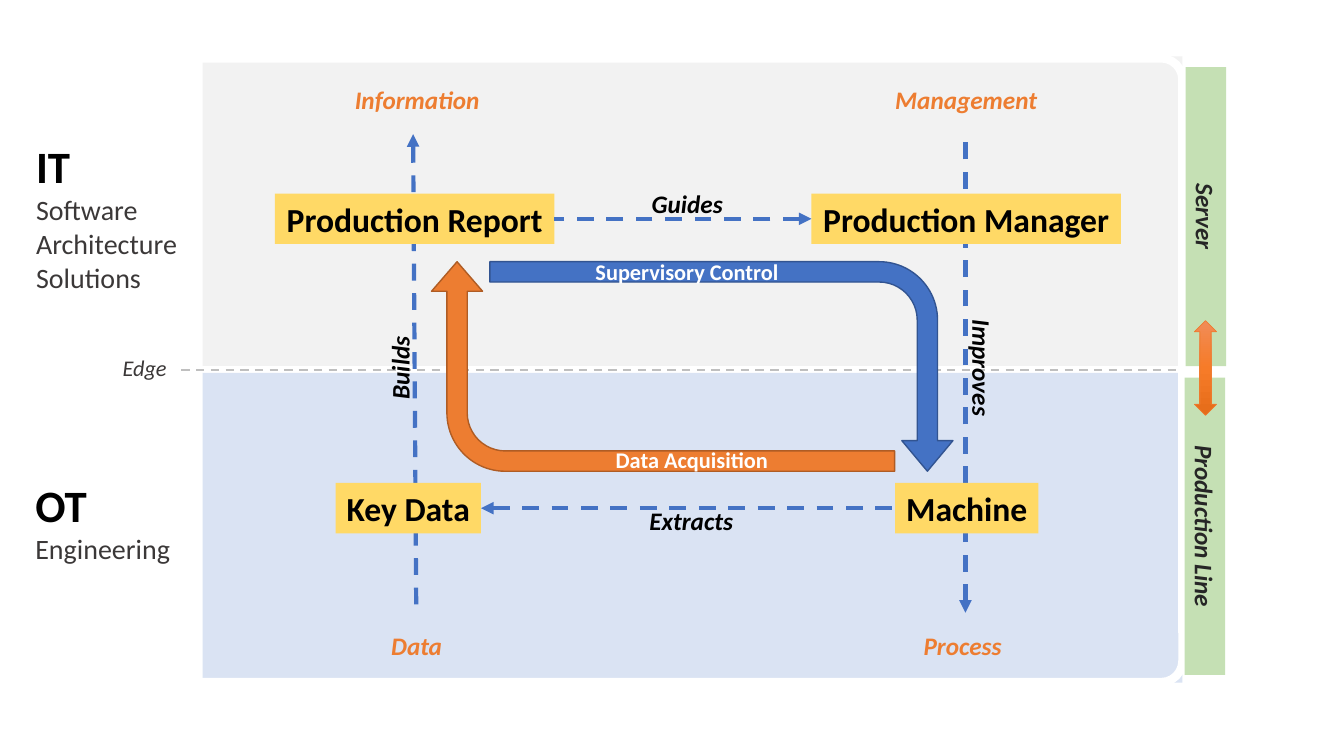
from copy import deepcopy
from dataclasses import dataclass

from lxml import etree
from pptx import Presentation
from pptx.dml.color import RGBColor
from pptx.enum.dml import MSO_LINE
from pptx.enum.shapes import MSO_CONNECTOR, MSO_SHAPE
from pptx.enum.text import MSO_ANCHOR, PP_ALIGN
from pptx.oxml.ns import qn
from pptx.util import Cm, Pt

RECT = MSO_SHAPE.RECTANGLE
ROUNDED = MSO_SHAPE.ROUNDED_RECTANGLE
BENT_ARROW = MSO_SHAPE.BENT_ARROW
UP_DOWN_ARROW = MSO_SHAPE.UP_DOWN_ARROW
STRAIGHT = MSO_CONNECTOR.STRAIGHT
DASH = MSO_LINE.DASH
LEFT, CENTER = PP_ALIGN.LEFT, PP_ALIGN.CENTER
TOP, MIDDLE = MSO_ANCHOR.TOP, MSO_ANCHOR.MIDDLE
LEFT_SIDE, RIGHT_SIDE = 1, 3


@dataclass(frozen=True)
class Theme:
    font: str = "Calibri"
    title: int = 32
    box: int = 24
    body: int = 20
    label: int = 18
    small: int = 16
    black: str = "000000"
    white: str = "FFFFFF"
    body_text: str = "3B3838"
    bar_text: str = "262626"
    it_zone: str = "F2F2F2"
    ot_zone: str = "DAE3F3"
    edge: str = "BFBFBF"
    blue: str = "4472C4"
    blue_line: str = "325491"
    orange: str = "ED7D31"
    orange_line: str = "AF5C24"
    yellow: str = "FFD966"
    green: str = "C5E0B4"
    link_gradient: tuple = ("F18C57", "F67B28", "E56C19")


class Diagram:
    """Draws elements on one slide; every length is in centimetres."""

    def __init__(self, slide, theme):
        self.shapes = slide.shapes
        self.theme = theme

    def add_runs(self, shape, runs, align=CENTER, wrap=False, anchor=TOP):
        """Each run is (text, size, colour, bold, italic); runs go on separate lines."""
        frame = shape.text_frame
        frame.word_wrap = wrap
        frame.vertical_anchor = anchor
        paragraph = frame.paragraphs[0]
        paragraph.alignment = align
        for index, (text, size, color, bold, italic) in enumerate(runs):
            if index:
                paragraph.add_line_break()
            run = paragraph.add_run()
            run.text = text
            font = run.font
            font.name, font.size = self.theme.font, Pt(size)
            font.bold, font.italic = bold, italic
            font.color.rgb = RGBColor.from_string(color)

    def shape(self, kind, bounds, fill=None, line=None, width=1, rotation=0, adjust=()):
        shape = self.shapes.add_shape(kind, *map(Cm, bounds))
        shape.shadow.inherit = False
        shape.rotation = rotation
        for index, value in enumerate(adjust):
            shape.adjustments[index] = value
        if fill:
            shape.fill.solid()
            shape.fill.fore_color.rgb = RGBColor.from_string(fill)
        else:
            shape.fill.background()
        if line:
            shape.line.color.rgb = RGBColor.from_string(line)
            shape.line.width = Pt(width)
        else:
            shape.line.fill.background()
        return shape

    def gradient(self, shape, colors):
        """Fill from top to bottom through evenly spaced colours."""
        shape.fill.gradient()
        shape.fill.gradient_angle = 270
        stop_list = shape._element.spPr.find(qn("a:gradFill")).find(qn("a:gsLst"))
        for _ in colors[2:]:
            stop_list.append(deepcopy(stop_list[0]))
        for index, (stop, color) in enumerate(zip(shape.fill.gradient_stops, colors)):
            stop.position = index / (len(colors) - 1)
            stop.color.rgb = RGBColor.from_string(color)

    def text(self, bounds, runs, rotation=0, **layout):
        text_box = self.shapes.add_textbox(*map(Cm, bounds))
        text_box.rotation = rotation
        self.add_runs(text_box, runs, **layout)

    def label(self, text, bounds, color, rotation=0):
        self.text(bounds, [(text, self.theme.label, color, True, True)], rotation)

    def box(self, text, left, top, width):
        box = self.shape(RECT, (left, top, width, 1.27), self.theme.yellow)
        self.add_runs(box, [(text, self.theme.box, self.theme.black, True, False)])
        return box

    def dashed_line(self, start, end, color, width):
        connector = self.shapes.add_connector(STRAIGHT, *map(Cm, (*start, *end)))
        connector.line.color.rgb = RGBColor.from_string(color)
        connector.line.width = Pt(width)
        connector.line.dash_style = DASH
        etree.SubElement(connector._element.spPr, qn("a:effectLst"))
        return connector

    def flow(self, start, end):
        """Dashed blue line with its arrowhead at the start."""
        flow = self.dashed_line(start, end, self.theme.blue, 3)
        outline = flow._element.spPr.find(qn("a:ln"))
        etree.SubElement(outline, qn("a:headEnd"), type="triangle")
        return flow


def main():
    presentation = Presentation()
    presentation.slide_width, presentation.slide_height = Cm(33.87), Cm(19.05)
    theme = Theme()
    slide = presentation.slides.add_slide(presentation.slide_layouts[6])
    diagram = Diagram(slide, theme)

    # Zones and their headings
    for top, color in ((9.4, theme.ot_zone), (1.42, theme.it_zone)):
        diagram.shape(RECT, (5.11, top, 24.69, 7.8), color)
    for title, body, bounds, wrap in (
        ("IT", "Software Architecture Solutions", (0.66, 3.38, 6.27, 4.19), True),
        ("OT", "Engineering", (0.64, 11.91, 3.94, 2.49), False),
    ):
        heading = [(title, theme.title, theme.black, True, False),
                   (body, theme.body, theme.body_text, False, False)]
        diagram.text(bounds, heading, align=LEFT, wrap=wrap)
    diagram.dashed_line((4.57, 9.32), (29.79, 9.32), theme.edge, 1.5)

    # Vertical flows pass behind the boxes
    diagram.flow((10.41, 3.38), (10.49, 15.44))
    diagram.flow((24.33, 15.44), (24.33, 3.58))

    report_row, data_row = 4.88, 12.17
    machine = diagram.box("Machine", 22.56, data_row, 3.61)
    manager = diagram.box("Production Manager", 20.45, report_row, 7.8)
    key_data = diagram.box("Key Data", 8.46, data_row, 3.66)
    report = diagram.box("Production Report", 6.93, report_row, 7.04)

    guides = diagram.flow((20.45, 5.51), (13.97, 5.51))
    guides.begin_connect(manager, LEFT_SIDE)
    guides.end_connect(report, RIGHT_SIDE)
    extracts = diagram.flow((12.12, 12.8), (22.56, 12.8))
    extracts.begin_connect(key_data, RIGHT_SIDE)
    extracts.end_connect(machine, LEFT_SIDE)

    for text, left, top, width in (
        ("Information", 8.66, 2.01, 3.71),
        ("Management", 22.28, 2.01, 4.14),
        ("Data", 9.6, 15.75, 1.8),
        ("Process", 22.94, 15.75, 2.64),
    ):
        diagram.label(text, (left, top, width, 1.02), theme.orange)
    for text, left, top, width, rotation in (
        ("Extracts", 16.1, 12.62, 2.64, 0),
        ("Builds", 9.02, 8.76, 2.11, 270),
        ("Guides", 16.15, 4.62, 2.34, 0),
        ("Improves", 23.27, 8.76, 2.97, 90),
    ):
        diagram.label(text, (left, top, width, 1.02), theme.black, rotation)

    # Frame and edge
    diagram.shape(ROUNDED, (0.46, 1.47, 29.34, 15.72), line=theme.white, width=6,
                  adjust=(0.034,))
    diagram.text((2.82, 8.79, 1.65, 0.94),
                 [("Edge", theme.small, theme.body_text, False, True)])

    # Server and production line bars with the link between them
    for text, top, length in (("Server", 4.95, 7.54), ("Production Line", 12.75, 7.49)):
        bar = diagram.shape(RECT, (26.62, top, length, 1.02), theme.green, rotation=90)
        diagram.add_runs(bar, [(text, theme.label, theme.bar_text, True, True)],
                         wrap=True, anchor=MIDDLE)
    link = diagram.shape(UP_DOWN_ARROW, (30.1, 8.08, 0.56, 2.39),
                         line=theme.orange, width=0.5)
    diagram.gradient(link, theme.link_gradient)

    # Control loop
    for left, fill, line, rotation, head in (
        (15.54, theme.blue, theme.blue_line, 90, 0.146),
        (14.07, theme.orange, theme.orange_line, 270, 0.141),
    ):
        diagram.shape(BENT_ARROW, (left, 3.4, 5.28, 11.67), fill, line,
                      rotation=rotation, adjust=(0.097, 0.122, head, 0.279))
    for text, bounds in (
        ("Data Acquisition", (15.24, 11.13, 4.39, 0.94)),
        ("Supervisory Control", (14.71, 6.38, 5.21, 0.94)),
    ):
        diagram.text(bounds, [(text, theme.small, theme.white, True, False)])

    presentation.save("out.pptx")


if __name__ == "__main__":
    main()
